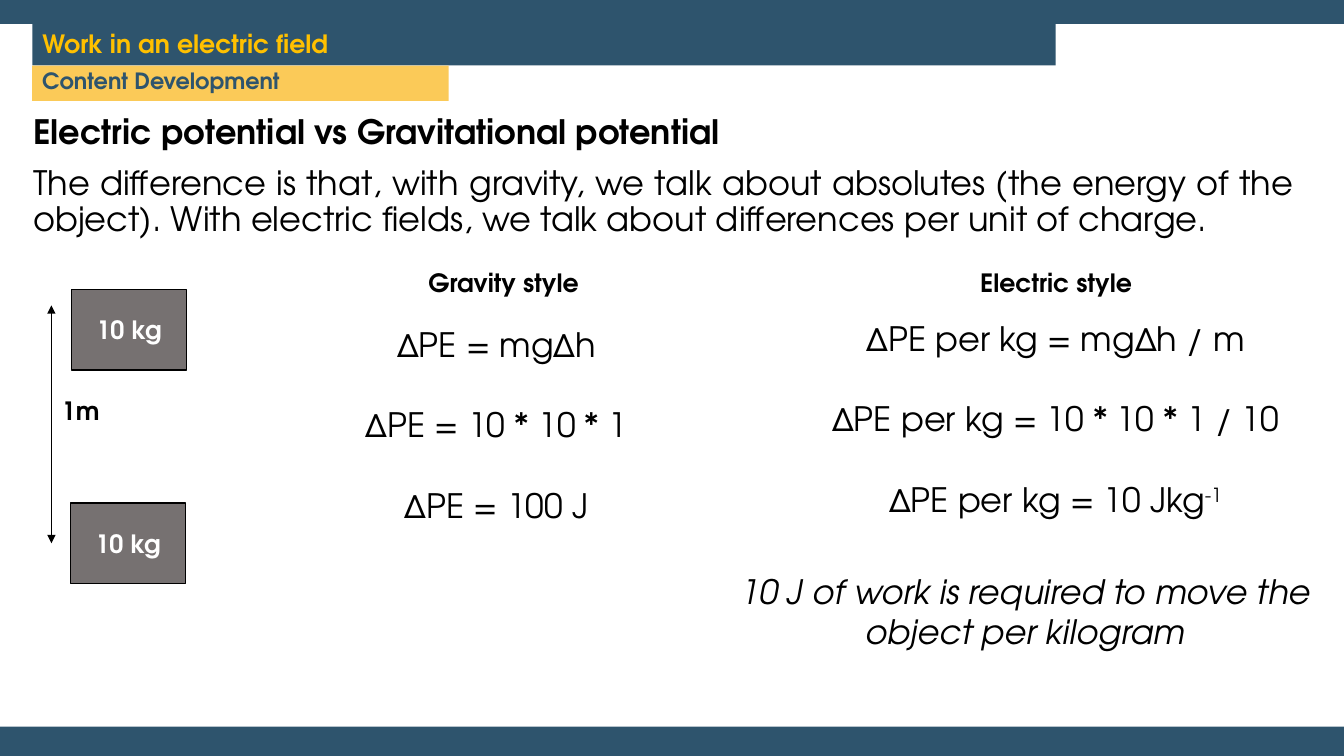
from dataclasses import dataclass

from lxml import etree
from pptx import Presentation
from pptx import util as u
from pptx.dml.color import RGBColor
from pptx.enum import shapes, text
from pptx.oxml.ns import qn

CELL = 0.1  # inches per grid column and row
COLS, ROWS = 133.3, 75
MID, TOP = text.MSO_ANCHOR.MIDDLE, text.MSO_ANCHOR.TOP
LEFT, CENTER, FULL = (text.PP_ALIGN.LEFT, text.PP_ALIGN.CENTER,
                      text.PP_ALIGN.JUSTIFY)


@dataclass(frozen=True)
class Theme:
    font: str = "TeX Gyre Adventor"
    blue: str = "2E546D"
    white: str = "FFFFFF"
    gold: str = "FFC000"
    sand: str = "FBCA58"
    gray: str = "767171"
    black: str = "000000"
    big: int = 24
    mid: int = 18
    small: int = 16
    gap: int = 10
    line: float = 28.8  # height of one big line


T = Theme()


def cells(*vals):
    return [u.Inches(v * CELL) for v in vals]


def color(code):
    return RGBColor.from_string(code)


def place(shape, box):
    shape.left, shape.top, shape.width, shape.height = cells(*box)


def paint(shape, fill, edge=None):
    shape.fill.solid()
    shape.fill.fore_color.rgb = color(fill)
    if edge:
        shape.line.color.rgb = color(edge)
        shape.line.width = u.Pt(1)
    else:
        shape.line.fill.background()


def rect(slide, box, fill, edge=None):
    shape = slide.shapes.add_shape(shapes.MSO_SHAPE.RECTANGLE, *cells(*box))
    shape.shadow.inherit = False
    paint(shape, fill, edge)
    return shape


def setup(shape, anchor=MID):
    frame = shape.text_frame
    frame.word_wrap = True
    frame.auto_size = text.MSO_AUTO_SIZE.NONE
    frame.vertical_anchor = anchor
    return frame


def write(frame, rows, size, ink, align=CENTER, gap=0, lead=1.0, bold=False,
          italic=False):
    """Fill a frame; each row is a tuple of a base run and superscript runs."""
    for i, row in enumerate(rows):
        para = frame.add_paragraph() if i else frame.paragraphs[0]
        props = para._p.get_or_add_pPr()
        props.set("marL", "0")
        props.set("indent", "0")
        etree.SubElement(props, qn("a:buNone"))
        para.alignment, para.line_spacing = align, lead
        para.space_before = u.Pt(gap if i else 0)
        for j, part in enumerate(row):
            run = para.add_run()
            run.text = part
            font = run.font
            font.name, font.size = T.font, u.Pt(size)
            font.bold, font.italic = bold, italic
            font.color.rgb = color(ink)
            if j:
                run._r.get_or_add_rPr().set("baseline", "30000")


def label(slide, box, rows, size, **style):
    shape = slide.shapes.add_textbox(*cells(*box))
    write(setup(shape), rows, size, T.black, **style)


def frame_bands(slide, box):
    """Blue bands above and below a white page, behind all else."""
    x, y, w, h = box
    back = rect(slide, box, T.blue)
    page = rect(slide, (x, y + 2.4, w, h - 5.3), T.white)
    for i, shape in enumerate((back, page), 2):
        slide.shapes._spTree.insert(i, shape._element)


def header(slide, box):
    x, y, w, h = box
    title = slide.shapes.title
    place(title, (x, y, w, 4.1))
    paint(title, T.blue)
    write(setup(title), [("Work in an electric field",)], T.mid, T.gold,
          LEFT, lead=0.9, bold=True)
    tab = rect(slide, (x, y + 4.1, 41.3, h - 4.1), T.sand)
    write(setup(tab, TOP), [("Content Development",)], T.small, T.blue,
          LEFT, lead=0.9, bold=True)


def intro(slide, box):
    body = slide.placeholders[1]
    place(body, box)
    frame = setup(body, TOP)
    write(frame, [
        ("Electric potential vs Gravitational potential",),
        ("The difference is that, with gravity, we talk about absolutes "
         "(the energy of the object). With electric fields, we talk about "
         "differences per unit of charge.",),
    ], T.big, T.black, FULL, gap=T.gap, lead=0.9)
    frame.paragraphs[0].runs[0].font.bold = True


def lift(slide, box):
    """Two masses and the height between them."""
    x, y, w, h = box
    side, tall = 11.4, 8
    for left, top in ((x + w - side - 0.1, y + h - tall), (x + w - side, y)):
        mass = rect(slide, (left, top, side, tall), T.gray, T.black)
        write(setup(mass), [("10 kg",)], T.mid, T.white, bold=True)
    arrow = slide.shapes.add_connector(
        shapes.MSO_CONNECTOR.STRAIGHT,
        *cells(x + 2.8, y + 1.6, x + 2.8, y + h - 4))
    arrow.line.color.rgb = color(T.black)
    arrow.line.width = u.Pt(0.5)
    line = arrow.line._get_or_add_ln()
    for end in ("a:headEnd", "a:tailEnd"):
        etree.SubElement(line, qn(end), type="triangle")
    etree.SubElement(arrow._element.spPr, qn("a:effectLst"))
    label(slide, (x, y + tall, side, tall), [("1m",)], T.mid, bold=True)


def panel(slide, box, head, sums, shift=0):
    """A heading over sums centred on the foot of the box."""
    x, y, w, h = box
    label(slide, (x, y + h - 8, w, 8), sums, T.big, gap=T.line)
    label(slide, (x + shift, y, 38.5, 4.5), [(head,)], T.mid, bold=True)


def build(slide):
    frame_bands(slide, (0, 0, COLS, ROWS))
    header(slide, (3.2, 2.4, 101.5, 7.6))
    intro(slide, (2.3, 11, 127, 9.7))
    lift(slide, (2.3, 28.7, 16.2, 29.2))
    panel(slide, (30.7, 25.8, 37.1, 20.3), "Gravity style", [
        ("ΔPE = mg∆h",),
        ("ΔPE = 10 * 10 * 1",),
        ("ΔPE = 100 J",),
    ])
    panel(slide, (81.2, 25.8, 47, 19.7), "Electric style", [
        ("ΔPE per kg = mg∆h / m",),
        ("ΔPE per kg = 10 * 10 * 1 / 10",),
        ("ΔPE per kg = 10 Jkg", "-1"),
    ], shift=4.3)
    label(slide, (70.1, 56.6, 63.2, 8), [
        ("10 J of work is required to move the object per kilogram",),
    ], T.big, italic=True)


def main():
    deck = Presentation()
    deck.slide_width, deck.slide_height = cells(COLS, ROWS)
    build(deck.slides.add_slide(deck.slide_layouts[1]))
    deck.save("out.pptx")


if __name__ == "__main__":
    main()
